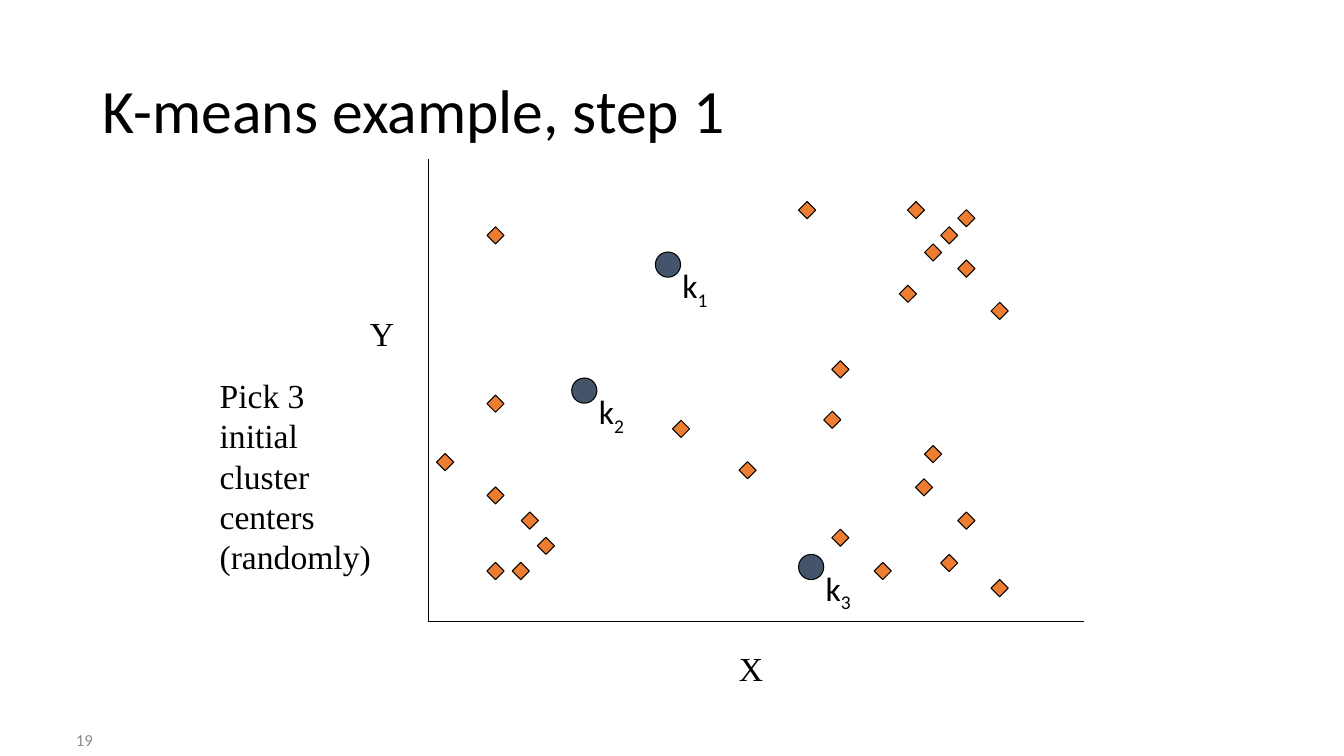
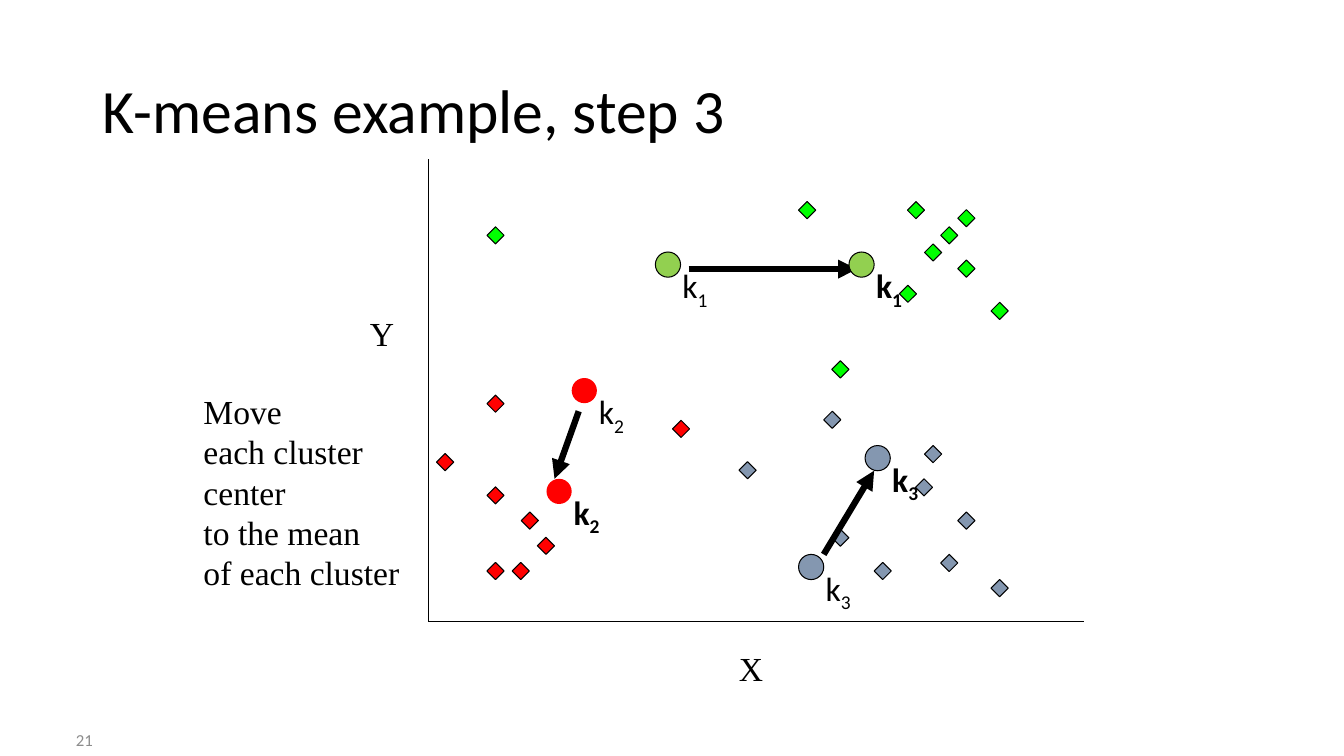
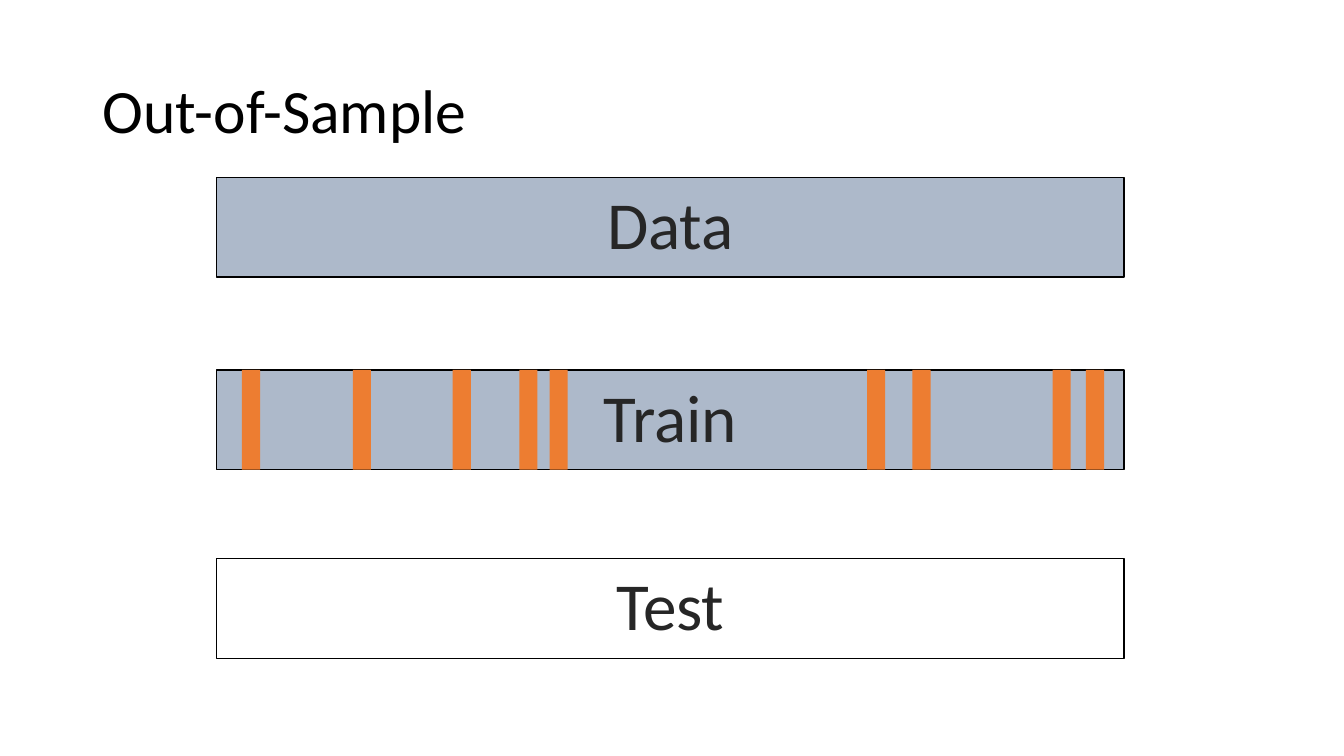
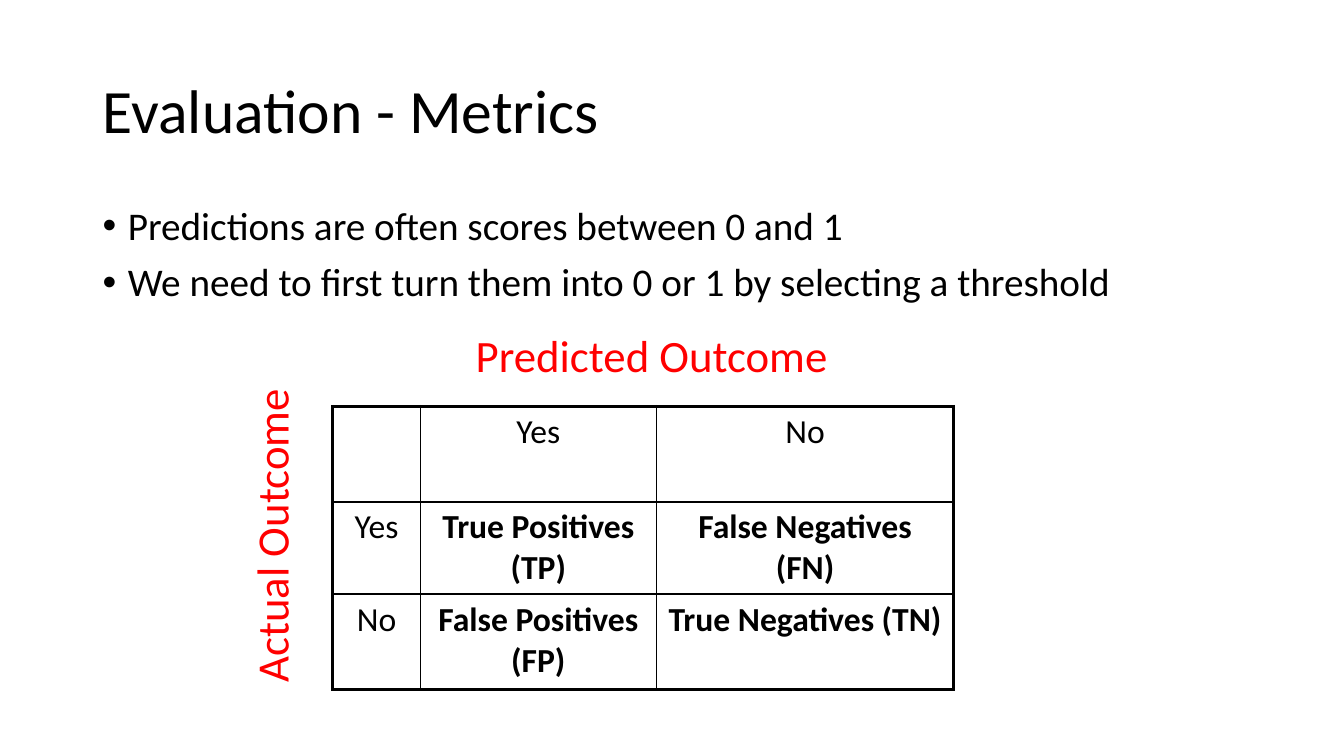
import pptx
import pptx.dml.color
import pptx.enum.shapes
import pptx.enum.text
import pptx.oxml
import pptx.oxml.ns
import pptx.util
from lxml import etree

Inches = pptx.util.Inches
Pt = pptx.util.Pt
Shapes = pptx.enum.shapes.MSO_SHAPE
Align = pptx.enum.text.PP_ALIGN
Anchor = pptx.enum.text.MSO_ANCHOR
qn = pptx.oxml.ns.qn

COLORS = {
    "black": "000000",
    "white": "FFFFFF",
    "number": "8C8C8C",
    "band_text": "262626",
    "orange": "ED7D31",
    "slate": "44546A",
    "blue_gray": "8497B0",
    "pale_blue": "ADB9CA",
    "lime": "00FF00",
    "green": "92D050",
    "red": "FF0000",
}
SANS = "Calibri"
SERIF = "Times New Roman"

POINTS = {
    "k1": [(4.83, 2.25), (9, 2), (9.5, 2.08), (9.33, 2.25), (9.17, 2.42), (9.5, 2.58),
           (9.83, 3), (7.92, 2), (8.25, 3.58), (8.92, 2.83)],
    "k2": [(5.17, 5.08), (5.33, 5.33), (5.08, 5.58), (4.83, 4.83), (4.83, 3.92),
           (4.83, 5.58), (4.33, 4.5), (6.67, 4.17)],
    "k3": [(8.25, 5.25), (8.67, 5.58), (9.08, 4.75), (8.17, 4.08), (7.33, 4.58),
           (9.5, 5.08), (9.33, 5.5), (9.17, 4.42), (9.83, 5.75)],
}
INITIAL_CENTERS = {"k1": (6.5, 2.5), "k2": (5.67, 3.75), "k3": (7.92, 5.5)}
MOVED_CENTERS = {"k1": (8.42, 2.5), "k2": (5.42, 4.75), "k3": (8.58, 4.42)}
MOVES = [((6.83, 2.67), (8.5, 2.67)), ((5.74, 4.08), (5.5, 4.75)), ((8.17, 5.5), (8.67, 4.67))]

BAND_LEFT, BAND_WIDTH, BAND_HEIGHT = 2.15, 9, 0.99
TRAIN_TOP = 3.67
SAMPLE_LEFTS = [2.4, 3.5, 4.49, 5.15, 5.45, 8.6, 9.05, 10.44, 10.77]


def rgb(name):
    return pptx.dml.color.RGBColor.from_string(COLORS[name])


def write_text(frame, text, size=24, font=SANS, color="black", bold=False, align=Align.LEFT,
               anchor=Anchor.TOP, wrap=True, subscript="", bullet=False, spacing=None, before=0):
    frame.auto_size = pptx.enum.text.MSO_AUTO_SIZE.NONE
    frame.word_wrap = wrap
    frame.vertical_anchor = anchor
    for index, line in enumerate(text.split("\n")):
        paragraph = frame.add_paragraph() if index else frame.paragraphs[0]
        if bullet:
            properties = paragraph._p.get_or_add_pPr()
            properties.set("marL", str(Inches(0.25)))
            properties.set("indent", str(Inches(-0.25)))
            etree.SubElement(properties, qn("a:buFont"), typeface="Arial")
            etree.SubElement(properties, qn("a:buChar"), char="•")
        paragraph.alignment = align
        if spacing:
            paragraph.line_spacing = spacing
        if index and before:
            paragraph.space_before = Pt(before)
        for content in filter(None, (line, subscript)):
            run = paragraph.add_run()
            run.text = content
            run.font.size = Pt(size)
            run.font.name = font
            run.font.bold = bold
            run.font.color.rgb = rgb(color)
            if content is subscript:
                run.font._element.set("baseline", "-25000")


def add_text(slide, left, top, width, height, text, **text_format):
    box = slide.shapes.add_textbox(Inches(left), Inches(top), Inches(width), Inches(height))
    write_text(box.text_frame, text, **text_format)
    return box


def add_shape(slide, kind, left, top, width, height, fill, line_width=0.75):
    shape = slide.shapes.add_shape(kind, Inches(left), Inches(top), Inches(width), Inches(height))
    shape.shadow.inherit = False
    shape.fill.solid()
    shape.fill.fore_color.rgb = rgb(fill)
    if line_width:
        shape.line.color.rgb = rgb("black")
        shape.line.width = Pt(line_width)
    else:
        shape.line.fill.background()
    return shape


def add_line(slide, start, end, width=0.75, arrow=False):
    line = slide.shapes.add_connector(
        pptx.enum.shapes.MSO_CONNECTOR.STRAIGHT, *map(Inches, (*start, *end)))
    line.line.color.rgb = rgb("black")
    line.line.width = Pt(width)
    if arrow:
        etree.SubElement(line.line._get_or_add_ln(), qn("a:tailEnd"), type="triangle")
    etree.SubElement(line._element.spPr, qn("a:effectLst"))


def add_slide(presentation, title, number=None):
    slide = presentation.slides.add_slide(presentation.slide_layouts[5])
    shape = slide.shapes.title
    shape.left, shape.top, shape.width, shape.height = map(Inches, (0.92, 0.4, 11.5, 1.45))
    write_text(shape.text_frame, title, size=44, anchor=Anchor.MIDDLE, spacing=0.9)
    if number:
        add_text(slide, 0, 7.17, 1.02, 0.33, number, size=12, color="number",
                 align=Align.RIGHT, anchor=Anchor.MIDDLE)
    return slide


def add_scatter(slide, colors):
    for cluster, points in POINTS.items():
        for left, top in points:
            add_shape(slide, Shapes.DIAMOND, left, top, 0.17, 0.17, colors[cluster])
    origin = (4.25, 6.17)
    add_line(slide, (4.25, 1.58), origin)
    add_line(slide, origin, (10.75, 6.17))
    for name, left, top in (("X", 7.23, 6.38), ("Y", 3.57, 3.05)):
        add_text(slide, left, top, 0.45, 0.51, name, font=SERIF, wrap=False)


def add_centers(slide, centers, colors, bold=False):
    for name, (left, top) in centers.items():
        fill = colors[name]
        add_shape(slide, Shapes.OVAL, left, top, 0.25, 0.25, fill, 0 if fill == "red" else 0.75)
        add_text(slide, left + 0.17, top + 0.08, 0.58, 0.51, name[0], subscript=name[1], bold=bold)


def add_band(slide, top, text, fill):
    band = add_shape(slide, Shapes.RECTANGLE, BAND_LEFT, top, BAND_WIDTH, BAND_HEIGHT, fill, 1)
    write_text(band.text_frame, text, size=48, color="band_text", align=Align.CENTER)


def set_borders(cell, widths):
    properties = cell._tc.get_or_add_tcPr()
    for side, width in widths.items():
        border = etree.SubElement(properties, qn("a:ln" + side), w=str(Pt(width)))
        fill = etree.SubElement(border, qn("a:solidFill"))
        etree.SubElement(fill, qn("a:srgbClr"), val=COLORS["black"])


def add_matrix(slide, left, top, column_widths, row_heights, rows):
    frame = slide.shapes.add_table(
        len(rows), len(column_widths), Inches(left), Inches(top),
        Inches(sum(column_widths)), Inches(sum(row_heights)))
    table = frame.table
    table.first_row = table.horz_banding = False
    for column, width in zip(table.columns, column_widths):
        column.width = Inches(width)
    last_row, last_column = len(rows) - 1, len(column_widths) - 1
    for row, texts in enumerate(rows):
        table.rows[row].height = Inches(row_heights[row])
        for column, text in enumerate(texts):
            cell = table.cell(row, column)
            outer = {"L": column == 0, "R": column == last_column,
                     "T": row == 0, "B": row == last_row}
            set_borders(cell, {side: 2.25 if edge else 1 for side, edge in outer.items()})
            cell.fill.background()
            write_text(cell.text_frame, text, align=Align.CENTER, bold=row > 0 and column > 0)


def build_step_one(presentation):
    slide = add_slide(presentation, "K-means example, step 1", "19")
    add_scatter(slide, dict.fromkeys(POINTS, "orange"))
    add_centers(slide, INITIAL_CENTERS, dict.fromkeys(POINTS, "slate"))
    add_text(slide, 2.08, 3.67, 1.71, 2.52, "Pick 3\ninitial\ncluster\ncenters\n(randomly)",
             font=SERIF, wrap=False)


def build_step_three(presentation):
    slide = add_slide(presentation, "K-means example, step 3", "21")
    add_scatter(slide, {"k1": "lime", "k2": "red", "k3": "blue_gray"})
    for start, end in MOVES:
        add_line(slide, start, end, width=4.5, arrow=True)
    add_text(slide, 1.92, 3.83, 2.33, 2.52,
             "Move\neach cluster center\nto the mean\nof each cluster", font=SERIF)
    center_colors = {"k1": "green", "k2": "red", "k3": "blue_gray"}
    add_centers(slide, INITIAL_CENTERS, center_colors)
    add_centers(slide, MOVED_CENTERS, center_colors, bold=True)


def build_out_of_sample(presentation):
    slide = add_slide(presentation, "Out-of-Sample")
    add_band(slide, 1.76, "Data", "pale_blue")
    add_band(slide, TRAIN_TOP, "Train", "pale_blue")
    add_band(slide, 5.54, "Test", "white")
    for left in SAMPLE_LEFTS:
        add_shape(slide, Shapes.RECTANGLE, left, TRAIN_TOP, 0.18, BAND_HEIGHT, "orange", 0)


def build_metrics(presentation):
    slide = add_slide(presentation, "Evaluation - Metrics")
    add_text(slide, 0.92, 2, 11.5, 1.2,
             "Predictions are often scores between 0 and 1\n"
             "We need to first turn them into 0 or 1 by selecting a threshold",
             size=28, bullet=True, spacing=0.9, before=10)
    add_matrix(slide, 3.3, 4.03, [0.87, 2.34, 2.95], [0.95, 0.9, 0.95], [
        ["", "Yes", "No"],
        ["Yes", "True Positives (TP)", "False Negatives (FN)"],
        ["No", "False Positives (FP)", "True Negatives (TN)"],
    ])
    add_text(slide, 4.62, 3.2, 4.17, 0.64, "Predicted Outcome", size=32, color="red")
    actual = add_text(slide, 1.12, 4.98, 3.14, 0.64, "Actual Outcome", size=32, color="red",
                      wrap=False)
    actual.rotation = 270


def main():
    presentation = pptx.Presentation()
    presentation.slide_width = Inches(13.33)
    presentation.slide_height = Inches(7.5)
    build_step_one(presentation)
    build_step_three(presentation)
    build_out_of_sample(presentation)
    build_metrics(presentation)
    presentation.save("out.pptx")


if __name__ == "__main__":
    main()
